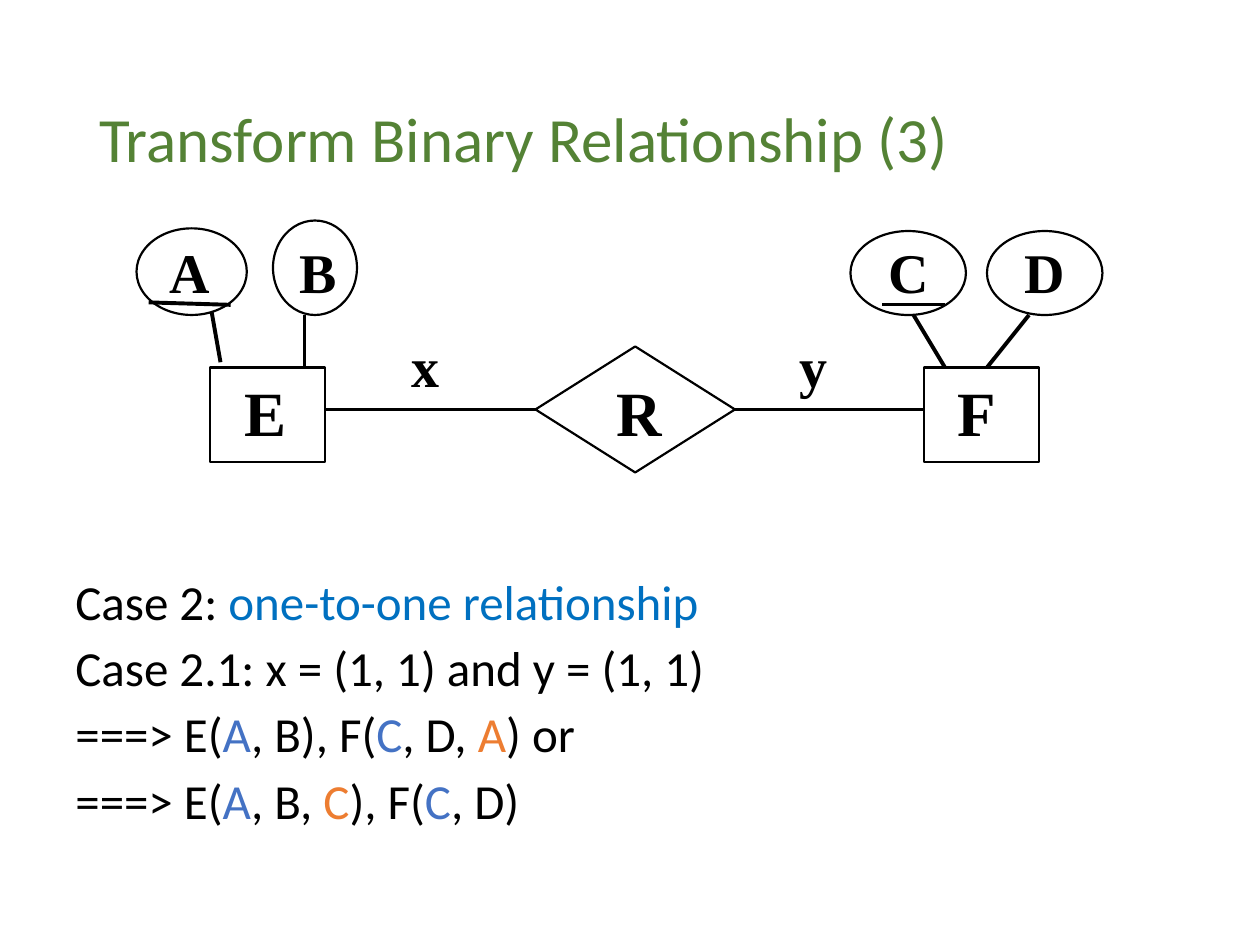
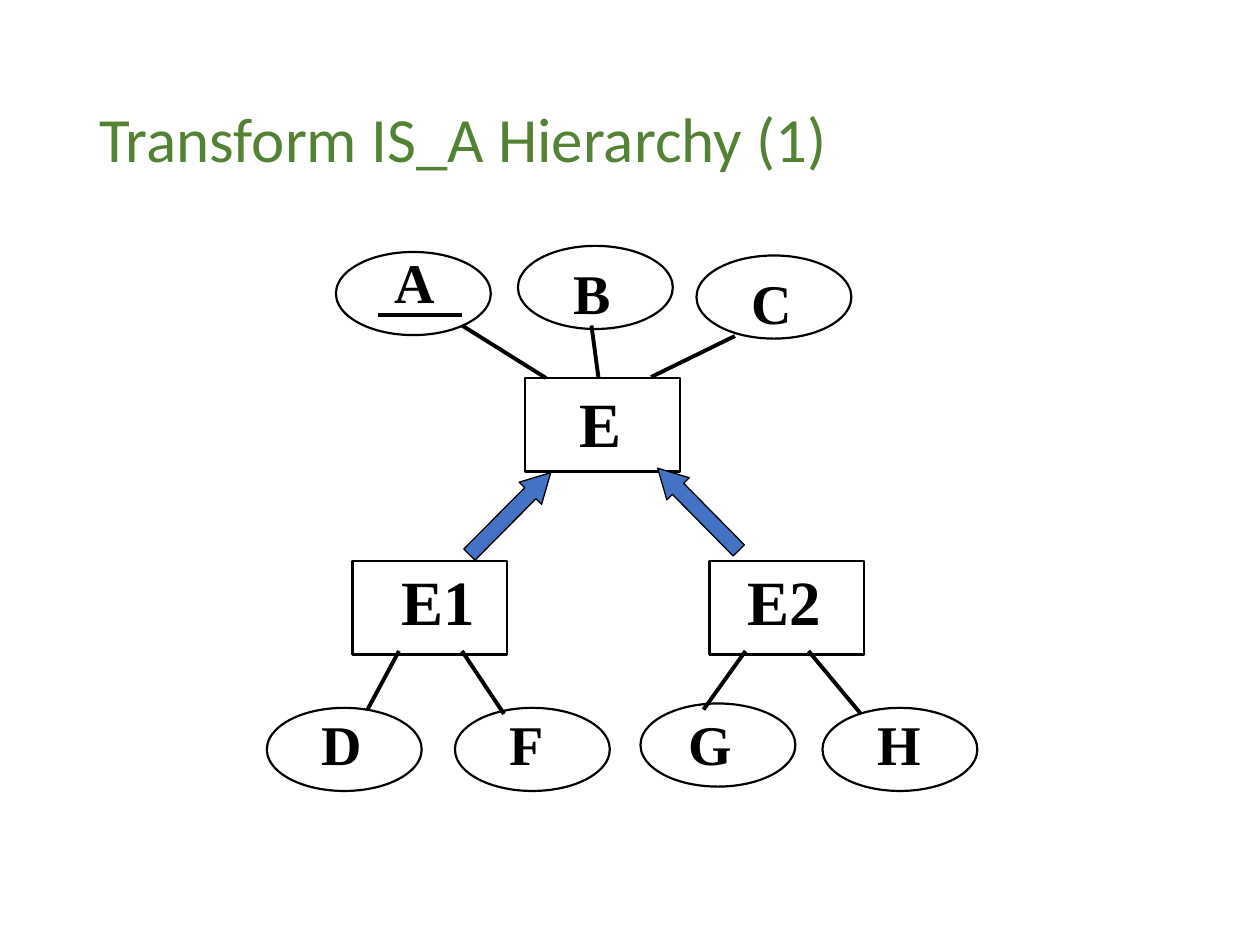
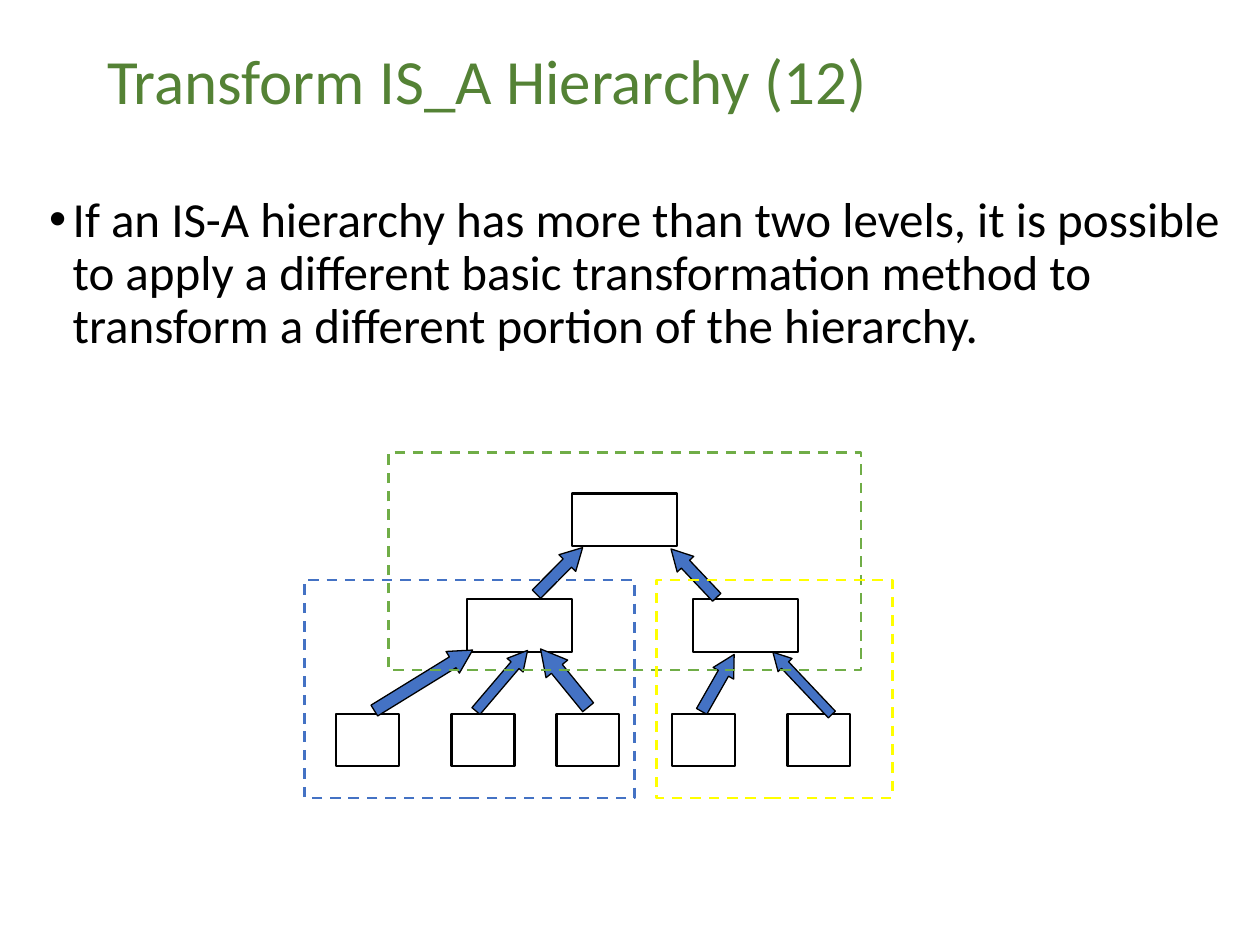
from dataclasses import dataclass

from lxml import etree
from pptx import Presentation
from pptx.dml.color import RGBColor
from pptx.enum.dml import MSO_LINE
from pptx.enum.shapes import MSO_CONNECTOR, MSO_SHAPE as SHAPE
from pptx.enum.text import MSO_ANCHOR, PP_ALIGN
from pptx.oxml.ns import qn
from pptx.util import Pt

COLORS = {
    "title": "548235",
    "ink": "000000",
    "phrase": "0070C0",
    "key": "4472C4",
    "foreign": "ED7D31",
    "arrow": "4472C4",
    "top": "70AD47",
    "left": "4472C4",
    "right": "FFFF00",
}
SANS, SERIF = "Calibri", "Times New Roman"
INSET_X, INSET_Y = 7.2, 3.6


@dataclass
class Node:
    kind: SHAPE
    x: float
    y: float
    w: float
    h: float
    color: str = "ink"
    weight: float = 1.25
    dashed: bool = False


@dataclass
class Label:
    text: str
    x: float
    y: float
    w: float = 46
    size: float = 32
    indent: float = 0


@dataclass
class Link:
    x1: float
    y1: float
    x2: float
    y2: float


@dataclass
class BlockArrow:
    x: float
    y: float
    w: float
    h: float
    rotation: float


def rgb(name: str) -> RGBColor:
    return RGBColor.from_string(COLORS[name])


def add_run(p, text: str, *, size: float, font: str = SANS, color: str = "ink", bold: bool = False) -> None:
    r = p.add_run()
    r.text = text
    r.font.size, r.font.name, r.font.bold = Pt(size), font, bold
    r.font.color.rgb = rgb(color)


def add_title_slide(prs, title: str, x: float, y: float, w: float, h: float):
    s = prs.slides.add_slide(prs.slide_layouts[5])
    sp = s.shapes.title
    sp.left, sp.top, sp.width, sp.height = Pt(x), Pt(y), Pt(w), Pt(h)
    tf = sp.text_frame
    tf.vertical_anchor = MSO_ANCHOR.MIDDLE
    p = tf.paragraphs[0]
    p.alignment, p.line_spacing = PP_ALIGN.LEFT, 0.9
    add_run(p, title, size=36, color="title")
    return s


def add_text_box(s, x: float, y: float, w: float, h: float, indent: float = 0):
    tf = s.shapes.add_textbox(Pt(x), Pt(y), Pt(w), Pt(h)).text_frame
    tf.word_wrap = True
    tf.margin_left, tf.margin_right = Pt(INSET_X + indent), Pt(INSET_X)
    tf.margin_top = tf.margin_bottom = Pt(INSET_Y)
    return tf


def add_body(s, paragraphs: list, x: float, y: float, w: float, h: float, bullet: bool = False) -> None:
    """Write paragraphs given as lists of (text, colour) with a hanging indent."""
    tf = add_text_box(s, x, y, w, h)
    for i, runs in enumerate(paragraphs):
        p = tf.add_paragraph() if i else tf.paragraphs[0]
        p.line_spacing = 0.9
        p.space_before = Pt(7.5 if i else 0)
        pPr = p._p.get_or_add_pPr()
        pPr.set("marL", str(Pt(13.5)))
        pPr.set("indent", str(-Pt(13.5)))
        if bullet:
            etree.SubElement(pPr, qn("a:buFont"), typeface="Arial")
            etree.SubElement(pPr, qn("a:buChar"), char="•")
        for text, color in runs:
            add_run(p, text, size=28, color=color)


def draw_node(s, n: Node):
    sp = s.shapes.add_shape(n.kind, Pt(n.x), Pt(n.y), Pt(n.w), Pt(n.h))
    sp.shadow.inherit = False
    sp.fill.background()
    sp.line.color.rgb, sp.line.width = rgb(n.color), Pt(n.weight)
    if n.dashed:
        sp.line.dash_style = MSO_LINE.DASH
    return sp


def draw_label(s, b: Label) -> None:
    tf = add_text_box(s, b.x, b.y, b.w + b.indent, b.size * 1.4, b.indent)
    add_run(tf.paragraphs[0], b.text, size=b.size, font=SERIF, bold=True)


def draw_link(s, k: Link):
    c = s.shapes.add_connector(MSO_CONNECTOR.STRAIGHT, Pt(k.x1), Pt(k.y1), Pt(k.x2), Pt(k.y2))
    c.line.color.rgb, c.line.width = rgb("ink"), Pt(2.25)
    etree.SubElement(c._element.spPr, qn("a:effectLst"))
    return c


def draw_arrow(s, a: BlockArrow) -> None:
    sp = draw_node(s, Node(SHAPE.RIGHT_ARROW, a.x, a.y, a.w, a.h, weight=0.75))
    sp.adjustments[0], sp.adjustments[1] = 0.5, 0.92
    sp.fill.solid()
    sp.fill.fore_color.rgb = rgb("arrow")
    sp.rotation = a.rotation


DRAW = {Node: draw_node, Label: draw_label, Link: draw_link, BlockArrow: draw_arrow}


def draw_all(s, items: list) -> None:
    for item in items:
        DRAW[type(item)](s, item)


def binary_relationship(prs) -> None:
    s = add_title_slide(prs, "Transform Binary Relationship (3)", 49.5, 29, 621.5, 104.5)
    add_body(s, [
        [("Case 2: ", "ink"), ("one-to-one relationship", "phrase")],
        [("Case 2.1: x = (1, 1) and y = (1, 1)", "ink")],
        [("===> E(", "ink"), ("A", "key"), (", B), F(", "ink"), ("C", "key"),
         (", D, ", "ink"), ("A", "foreign"), (") or", "ink")],
        [("===> E(", "ink"), ("A", "key"), (", B, ", "ink"), ("C", "foreign"),
         ("), F(", "ink"), ("C", "key"), (", D)", "ink")],
    ], 36, 327, 660, 189)
    entities = [Node(SHAPE.RECTANGLE, x, 210, 66, 54) for x in (120, 528)]
    attributes = [
        Node(SHAPE.OVAL, 78, 130.5, 63, 49.5),
        Node(SHAPE.OVAL, 156, 126, 48, 54),
        Node(SHAPE.OVAL, 486, 132, 66, 48),
        Node(SHAPE.OVAL, 564, 132, 66, 48),
    ]
    key_underlines = [Link(85, 172.8, 131.8, 174.2), Link(504, 174, 540, 174)]
    attribute_links = [
        Link(126, 207, 121, 178.5),
        Link(174, 210, 174, 180),
        Link(522, 180, 540, 210),
        Link(588, 180, 564, 210),
    ]
    labels = [
        Label("E", 114.5, 210, size=36, indent=18),
        Label("F", 540, 210, size=36),
        Label("R", 336, 210, size=36, indent=9),
        Label("A", 90, 132),
        Label("B", 156, 132, indent=8),
        Label("C", 492.5, 132, indent=8),
        Label("D", 570, 132, indent=8),
        Label("x", 228, 186, 30),
        Label("y", 450, 186, 30),
    ]
    draw_all(s, entities + attributes + key_underlines + attribute_links + labels)
    diamond = draw_node(s, Node(SHAPE.DIAMOND, 306, 198, 114, 72))
    draw_link(s, Link(186, 234, 306, 234)).end_connect(diamond, 1)
    draw_link(s, Link(420, 234, 528, 234)).begin_connect(diamond, 3)


def hierarchy_example(prs) -> None:
    s = add_title_slide(prs, "Transform IS_A Hierarchy (1)", 49.5, 29, 621.5, 104.5)
    entities = [Node(SHAPE.RECTANGLE, x, y, 88.5, 53.5)
                for x, y in ((300, 216), (201.5, 320.5), (405.5, 320.5))]
    attributes = [Node(SHAPE.OVAL, x, y, 88.5, 47.5)
                  for x, y in ((192, 144), (296, 140.5), (398, 146), (152.5, 404.5),
                               (260, 404.5), (366, 402), (470, 404.5))]
    attribute_labels = [Label(text, x, y, indent=8)
                        for text, x, y in (("A", 210, 138), ("B", 312.5, 144), ("C", 414, 150),
                                           ("D", 168.5, 402), ("F", 276, 402),
                                           ("G", 378, 402), ("H", 486, 402))]
    entity_labels = [
        Label("E", 324, 216, 52, 36),
        Label("E1", 204, 318, 80, 36, 18),
        Label("E2", 402, 318, 80, 36, 18),
    ]
    key_underline = Link(216, 180, 264, 180)
    attribute_links = [
        Link(264, 186, 312, 216),
        Link(338, 186, 342, 216),
        Link(420, 192, 372, 215.5),
        Link(228, 372, 210, 405.5),
        Link(264, 372, 288, 408),
        Link(426, 372, 402, 405.5),
        Link(462, 372, 492, 408),
    ]
    is_a = [BlockArrow(258.5, 284.5, 66, 18, 314.8), BlockArrow(366, 282, 66, 18, 225.4)]
    draw_all(s, entities + attributes + attribute_labels + entity_labels
             + [key_underline] + attribute_links + is_a)


def hierarchy_portions(prs) -> None:
    s = add_title_slide(prs, "Transform IS_A Hierarchy (12)", 54, 18, 612, 60)
    add_body(s, [[(
        "If an IS-A hierarchy has more than two levels, it is possible to apply a different "
        "basic transformation method to transform a different portion of the hierarchy.", "ink",
    )]], 21, 108, 690, 144, bullet=True)
    parents = [Node(SHAPE.RECTANGLE, x, y, 60, 30)
               for x, y in ((327, 282), (267, 342.5), (396, 342.5))]
    leaves = [Node(SHAPE.RECTANGLE, x, 408, 36, 30) for x in (192, 258, 318, 384, 450)]
    is_a = [
        BlockArrow(301, 319.5, 37.5, 13.5, 314.8),
        BlockArrow(377.5, 321, 38, 13, 226.6),
        BlockArrow(209, 381.5, 66, 14.5, 328.4),
        BlockArrow(264, 383, 45.5, 12, 310.4),
        BlockArrow(301, 379.5, 43, 16, 230.8),
        BlockArrow(391.5, 383.5, 37.5, 13.5, 299.7),
        BlockArrow(434, 385, 49, 11, 226.6),
    ]
    portions = [Node(SHAPE.RECTANGLE, x, y, w, 124.5, color, 1.5, True)
                for x, y, w, color in ((222, 258.5, 270, "top"), (174, 331.5, 188.5, "left"),
                                       (375, 331.5, 135, "right"))]
    draw_all(s, parents + leaves + is_a + portions)


def main() -> None:
    prs = Presentation()
    prs.slide_width, prs.slide_height = Pt(720), Pt(540)
    binary_relationship(prs)
    hierarchy_example(prs)
    hierarchy_portions(prs)
    prs.save("out.pptx")


if __name__ == "__main__":
    main()
